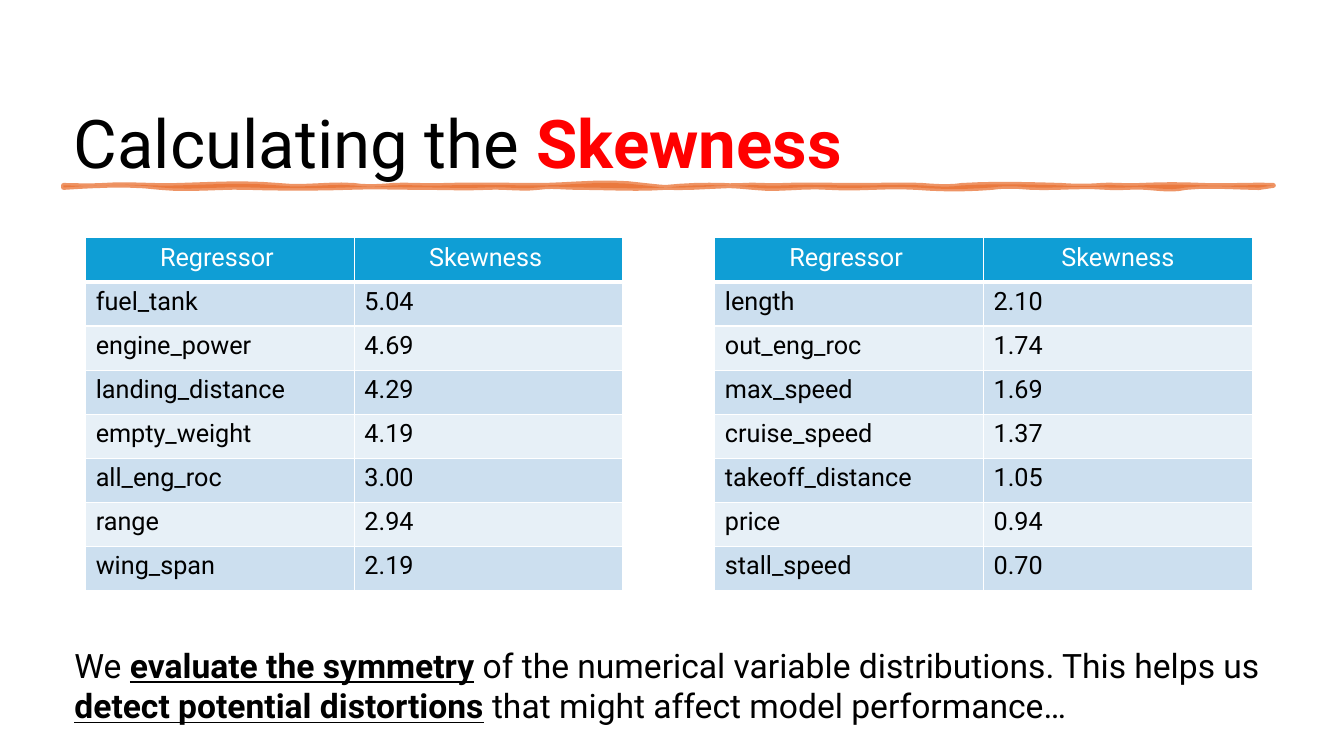
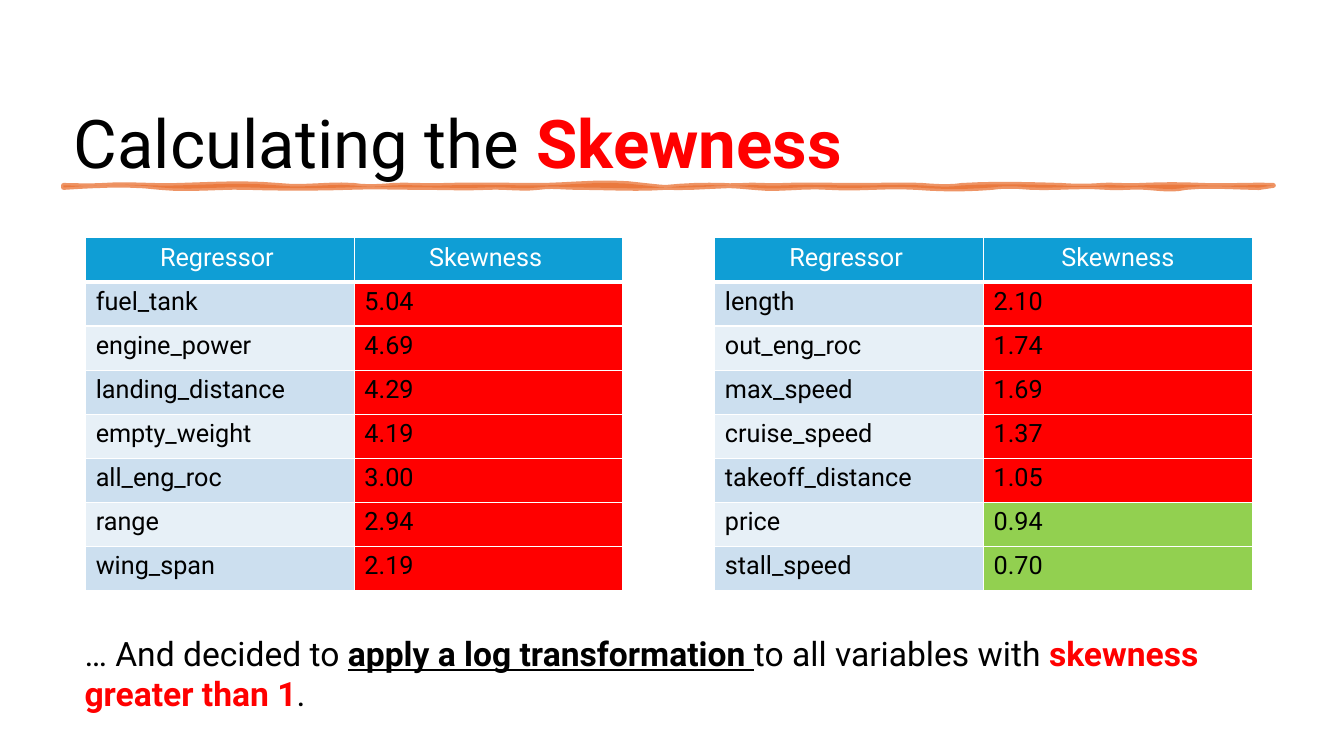
import dataclasses

import lxml.etree
import pptx
import pptx.dml.color
import pptx.enum.text
import pptx.oxml.ns
import pptx.util

PX = 9144
qn = pptx.oxml.ns.qn
rgb = pptx.dml.color.RGBColor.from_string


@dataclasses.dataclass(frozen=True)
class Theme:
    """Hold the colours, font and type sizes of the deck."""
    font: str = "Roboto"
    ink: str = "000000"
    paper: str = "FFFFFF"
    alert: str = "FF0000"
    fine: str = "92D050"
    header: str = "0F9ED5"
    bands: tuple = ("CCDFEF", "E7F0F7")
    brush: str = "E97132"
    brush_alpha: int = 75000
    brush_width: float = 3.5
    title_size: int = 48
    note_size: int = 24
    cell_size: int = 18


THEME = Theme()

TITLE_BOX = (63, 96, 1231, 91)
BRUSH_BOX = (63, 184, 1200, 2)
TABLE_TOP, TABLE_WIDTH, TABLE_HEIGHT = 236, 533, 350

BRUSH_TOP = [
    (39, 0, 1), (114, -2, 1), (213, -1, -3), (288, 3, -2), (327, 2, 1),
    (378, -1, 1), (477, -1, 0), (576, -1, -5), (675, 5, 0), (714, -1, 1),
    (789, -1, 0), (852, 0, -1), (891, 1, 2), (990, -2, -1), (1029, 1, 1),
    (1068, -1, 1), (1131, -1, -1), (1200, 1, -1),
]
BRUSH_BOTTOM = [
    (1113, 1, -3), (1074, 3, 1), (1035, -1, 1), (960, -2, 1), (921, -1, -2),
    (846, 2, 2), (759, -2, 2), (684, -2, 3), (597, -3, -3), (510, 2, 0),
    (471, 0, -2), (420, 2, -1), (357, 1, 0), (282, 0, -1), (183, 1, 1),
    (96, -1, 3), (0, -4, -2),
]

TITLE = [("Calculating the ", "plain"), ("Skewness", "alert")]
TABLES = [
    (85, ("Regressor ", "Skewness "), [
        ("fuel_tank", 5.04), ("engine_power", 4.69), ("landing_distance", 4.29),
        ("empty_weight", 4.19), ("all_eng_roc", 3.00), ("range", 2.94),
        ("wing_span", 2.19)]),
    (709, ("Regressor ", "Skewness"), [
        ("length", 2.10), ("out_eng_roc", 1.74), ("max_speed", 1.69),
        ("cruise_speed", 1.37), ("takeoff_distance", 1.05), ("price", 0.94),
        ("stall_speed", 0.70)]),
]
SLIDES = [
    (False, (64, 635, 1197, 91), [
        ("We ", "plain"), ("evaluate the symmetry", "key"),
        (" of the numerical variable distributions. This helps us ", "plain"),
        ("detect potential distortions", "key"),
        (" that might affect model performance…", "plain")]),
    (True, (74, 623, 1197, 91), [
        ("… And decided to ", "plain"), ("apply a log transformation ", "key"),
        ("to all variables with ", "plain"), ("skewness greater than 1", "alert"),
        (".", "plain")]),
]


def emu(box):
    """Turn a box in px into EMU."""
    return [length * PX for length in box]


def add_run(paragraph, text, size, colour, bold=False, underline=False):
    """Append one formatted run to a paragraph."""
    run = paragraph.add_run()
    run.text = text
    run.font.name = THEME.font
    run.font.size = pptx.util.Pt(size)
    run.font.color.rgb = rgb(colour)
    run.font.bold = bold
    run.font.underline = underline


def write_sentence(frame, pieces, size):
    """Fill a text frame with one left-aligned sentence of styled pieces."""
    frame.word_wrap = True
    frame.auto_size = pptx.enum.text.MSO_AUTO_SIZE.SHAPE_TO_FIT_TEXT
    frame.vertical_anchor = pptx.enum.text.MSO_ANCHOR.TOP
    sentence = frame.paragraphs[0]
    sentence.alignment = pptx.enum.text.PP_ALIGN.LEFT
    for text, style in pieces:
        colour = THEME.alert if style == "alert" else THEME.ink
        add_run(sentence, text, size, colour, style != "plain", style == "key")


def place_title(slide, box):
    """Move the title placeholder into its box and write it."""
    title = slide.shapes.title
    title.left, title.top, title.width, title.height = emu(box)
    write_sentence(title.text_frame, TITLE, THEME.title_size)


def place_note(slide, box, pieces):
    """Add the closing sentence below the tables."""
    note = slide.shapes.add_textbox(*emu(box))
    write_sentence(note.text_frame, pieces, THEME.note_size)


def wavy_edge(start, base, swells, steps=6):
    """Return points along an edge whose swells bend it off its base."""
    points = []
    for end, first, second in swells:
        for step in range(1, steps + 1):
            t = step / steps
            bend = 3 * t * (1 - t) * ((1 - t) * first + t * second)
            points.append((start + (end - start) * t, base + bend))
        start = end
    return points


def place_brush(slide, box):
    """Draw the translucent brush stroke under the title."""
    left, top, width, height = box
    outline = wavy_edge(0, 0, BRUSH_TOP) + wavy_edge(width, height, BRUSH_BOTTOM)
    builder = slide.shapes.build_freeform(0, 0, scale=PX / 100)
    builder.add_line_segments(
        [(round(x * 100), round(y * 100)) for x, y in outline], close=True)
    brush = builder.convert_to_shape(left * PX, top * PX)
    brush.shadow.inherit = False
    brush.fill.solid()
    brush.fill.fore_color.rgb = rgb(THEME.brush)
    brush.line.color.rgb = rgb(THEME.brush)
    brush.line.width = pptx.util.Pt(THEME.brush_width)
    properties = brush._element.spPr
    for colour in properties.iter(qn("a:srgbClr")):
        lxml.etree.SubElement(colour, qn("a:alpha"), val=str(THEME.brush_alpha))
    stroke = properties.find(qn("a:ln"))
    stroke.set("cap", "rnd")
    lxml.etree.SubElement(stroke, qn("a:round"))


def set_borders(cell, row):
    """Rule a cell in white, with a thick line below the header row."""
    properties = cell._tc.get_or_add_tcPr()
    widths = {"L": 1, "R": 1, "T": 3 if row == 1 else 1, "B": 3 if row == 0 else 1}
    for order, (side, width) in enumerate(widths.items()):
        border = lxml.etree.Element(qn(f"a:ln{side}"), w=str(pptx.util.Pt(width)))
        fill = lxml.etree.SubElement(border, qn("a:solidFill"))
        lxml.etree.SubElement(fill, qn("a:srgbClr"), val=THEME.paper)
        properties.insert(order, border)


def cell_fill(row, column, value, flagged):
    """Choose the fill of a cell by its row and, if flagged, its skewness."""
    if row == 0:
        return THEME.header
    if flagged and column == 1:
        return THEME.alert if value > 1 else THEME.fine
    return THEME.bands[(row - 1) % 2]


def place_table(slide, box, heads, skewness, flagged):
    """Add one table of regressors and their skewness."""
    lines = [heads] + skewness
    table = slide.shapes.add_table(len(lines), len(heads), *emu(box)).table
    table.horz_banding = False
    for row, line in enumerate(lines):
        for column, value in enumerate(line):
            cell = table.cell(row, column)
            cell.fill.solid()
            cell.fill.fore_color.rgb = rgb(cell_fill(row, column, value, flagged))
            set_borders(cell, row)
            entry = cell.text_frame.paragraphs[0]
            if row == 0:
                entry.alignment = pptx.enum.text.PP_ALIGN.CENTER
            text = value if isinstance(value, str) else f"{value:.2f}"
            add_run(entry, text, THEME.cell_size, THEME.ink if row else THEME.paper)


def build_slide(deck, flagged, note_box, note):
    """Add one skewness slide with its title, tables and note."""
    slide = deck.slides.add_slide(deck.slide_layouts.get_by_name("Title Only"))
    place_brush(slide, BRUSH_BOX)
    place_title(slide, TITLE_BOX)
    for left, heads, skewness in TABLES:
        box = (left, TABLE_TOP, TABLE_WIDTH, TABLE_HEIGHT)
        place_table(slide, box, heads, skewness, flagged)
    place_note(slide, note_box, note)


def main():
    """Build and save the deck."""
    deck = pptx.Presentation()
    deck.slide_width, deck.slide_height = emu((1333, 750))
    for flagged, note_box, note in SLIDES:
        build_slide(deck, flagged, note_box, note)
    deck.save("out.pptx")


if __name__ == "__main__":
    main()
